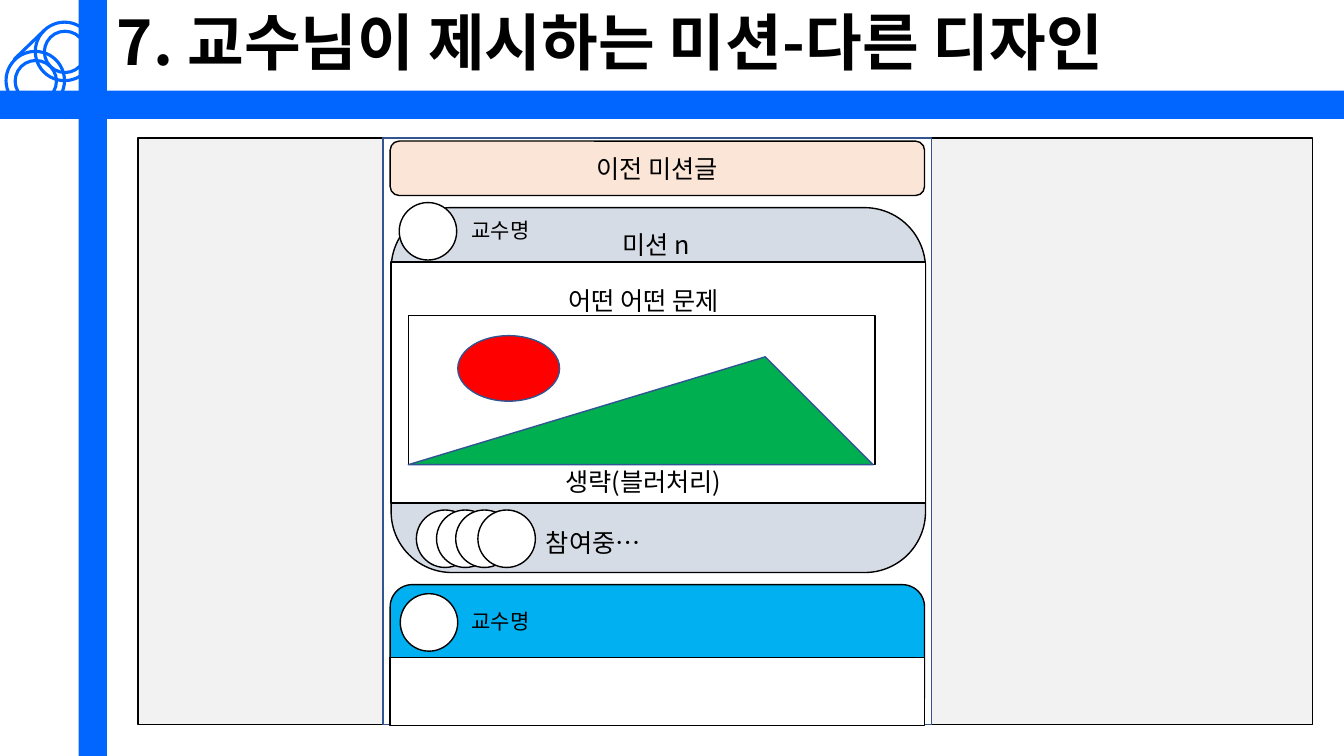
"""Build the slide showing an alternative design for the professor's missions."""
from dataclasses import dataclass
from typing import Optional

from lxml import etree
from pptx import Presentation
from pptx.dml.color import RGBColor
from pptx.enum.shapes import MSO_CONNECTOR, MSO_SHAPE
from pptx.enum.text import MSO_ANCHOR, MSO_AUTO_SIZE, PP_ALIGN
from pptx.oxml.ns import qn
from pptx.util import Inches, Pt

FONT = "Noto Sans CJK KR"
BLACK = RGBColor(0x00, 0x00, 0x00)
WHITE = RGBColor(0xFF, 0xFF, 0xFF)
BLUE = RGBColor(0x00, 0x66, 0xFF)
NAVY = RGBColor(0x32, 0x54, 0x91)
SKY = RGBColor(0x00, 0xB0, 0xF0)
LIGHT_GRAY = RGBColor(0xF2, 0xF2, 0xF2)
BLUE_GRAY = RGBColor(0xD6, 0xDC, 0xE5)
PEACH = RGBColor(0xFB, 0xE5, 0xD6)
GREEN = RGBColor(0x00, 0xB0, 0x50)
RED = RGBColor(0xFF, 0x00, 0x00)

RECT = MSO_SHAPE.RECTANGLE
ROUND = MSO_SHAPE.ROUNDED_RECTANGLE
OVAL = MSO_SHAPE.OVAL
TRIANGLE = MSO_SHAPE.ISOSCELES_TRIANGLE

CARD_LEFT, CARD_WIDTH = 3.87, 5.3
AVATAR = 0.57


@dataclass(frozen=True)
class Box:
    kind: MSO_SHAPE
    left: float
    top: float
    width: float
    height: float
    fill: Optional[RGBColor] = WHITE
    line: Optional[RGBColor] = BLACK
    weight: float = 1
    adjust: Optional[float] = None
    text: str = ""


@dataclass(frozen=True)
class Label:
    lines: tuple[str, ...]
    left: float
    top: float
    width: float
    height: float
    size: float = 18
    align: PP_ALIGN = PP_ALIGN.CENTER
    anchor: MSO_ANCHOR = MSO_ANCHOR.TOP
    leading: Optional[float] = 21.6
    gap: float = 0


def ring(left: float, top: float, size: float) -> Box:
    return Box(OVAL, left, top, size, size, None, BLUE, 2.25)


def avatar(left: float, top: float) -> Box:
    return Box(OVAL, left, top, AVATAR, AVATAR)


def professor(top: float) -> Label:
    return Label(("교수명",), 4.12, top, 1.23, 0.35, 15, PP_ALIGN.RIGHT, MSO_ANCHOR.MIDDLE, None)


FRAME = (
    Box(RECT, 0.78, 0, 0.28, 7.5, BLUE, None),
    Box(RECT, 0, 0.9, 13.33, 0.28, BLUE, None),
    ring(0.06, 0.51, 0.58),
    ring(0.35, 0.22, 0.58),
    ring(0.44, 0.31, 0.41),
    ring(0.15, 0.6, 0.41),
)

SCREEN = (
    Box(RECT, 1.37, 1.37, 11.65, 5.82, LIGHT_GRAY),
    Box(RECT, 3.8, 1.37, 5.44, 5.82, WHITE, NAVY),
    Box(ROUND, CARD_LEFT, 1.4, CARD_WIDTH, 0.54, PEACH, text="이전 미션글"),
    Box(ROUND, 3.88, 2.06, CARD_WIDTH, 3.62, BLUE_GRAY),
    Box(ROUND, CARD_LEFT, 5.8, CARD_WIDTH, 1.32, SKY),
    professor(2.11),
    avatar(3.96, 2.01),
    professor(5.99),
    avatar(3.97, 5.89),
    Box(RECT, 3.88, 2.6, CARD_WIDTH, 2.39),
    Box(RECT, CARD_LEFT, 6.52, CARD_WIDTH, 0.68),
    Label(("미션 n",), 4.95, 2.23, 3.11, 0.4),
    Label(("어떤 어떤 문제", "생략(블러처리)"), 4.12, 2.78, 4.52, 2.22, gap=108),
    Box(RECT, 4.05, 3.13, 4.63, 1.48),
    Box(TRIANGLE, 4.05, 3.54, 4.61, 1.07, GREEN, NAVY, adjust=0.768),
    Box(OVAL, 4.54, 3.33, 1.01, 0.65, RED, NAVY),
    *(avatar(left, 5.06) for left in (4.13, 4.33, 4.52, 4.74)),
    Label(("참여중…",), 4.33, 5.18, 3.11, 0.4),
)


def style_runs(p, size: float, bold: bool = False) -> None:
    for r in p.runs:
        r.font.size = Pt(size)
        r.font.bold = bold
        r.font.color.rgb = BLACK
        r.font.name = FONT
        ea = etree.Element(qn("a:ea"), typeface=FONT)
        r.font._element.find(qn("a:latin")).addnext(ea)


def draw_box(s, box: Box) -> None:
    sp = s.shapes.add_shape(box.kind, Inches(box.left), Inches(box.top),
                            Inches(box.width), Inches(box.height))
    sp.shadow.inherit = False
    if box.fill is None:
        sp.fill.background()
    else:
        sp.fill.solid()
        sp.fill.fore_color.rgb = box.fill
    if box.line is None:
        sp.line.fill.background()
    else:
        sp.line.color.rgb = box.line
        sp.line.width = Pt(box.weight)
    if box.adjust is not None:
        sp.adjustments[0] = box.adjust
    if box.text:
        tf = sp.text_frame
        tf.text = box.text
        tf.vertical_anchor = MSO_ANCHOR.MIDDLE
        p = tf.paragraphs[0]
        p.alignment = PP_ALIGN.CENTER
        style_runs(p, 18)


def draw_label(s, label: Label) -> None:
    sp = s.shapes.add_textbox(Inches(label.left), Inches(label.top),
                              Inches(label.width), Inches(label.height))
    tf = sp.text_frame
    tf.word_wrap = True
    tf.vertical_anchor = label.anchor
    tf.text = "\n".join(label.lines)
    for i, p in enumerate(tf.paragraphs):
        p.alignment = label.align
        if label.leading:
            p.line_spacing = Pt(label.leading)
        if i:
            p.space_before = Pt(label.gap)
        style_runs(p, label.size)


def draw_tangent(s) -> None:
    line = s.shapes.add_connector(MSO_CONNECTOR.STRAIGHT, Inches(0.14), Inches(0.59),
                                  Inches(0.44), Inches(0.3))
    line.line.color.rgb = BLUE
    line.line.width = Pt(2.25)
    etree.SubElement(line._element.spPr, qn("a:effectLst"))


def set_title(s, text: str) -> None:
    sp = s.shapes.title
    sp.left, sp.top, sp.width, sp.height = Inches(1.06), Inches(0), Inches(11.75), Inches(0.9)
    tf = sp.text_frame
    tf.text = text
    tf.word_wrap = True
    tf.auto_size = MSO_AUTO_SIZE.NONE
    tf.vertical_anchor = MSO_ANCHOR.MIDDLE
    p = tf.paragraphs[0]
    p.alignment = PP_ALIGN.LEFT
    p.line_spacing = 0.9
    style_runs(p, 44, bold=True)


def main() -> None:
    prs = Presentation()
    prs.slide_width, prs.slide_height = Inches(13.33), Inches(7.5)
    s = prs.slides.add_slide(prs.slide_layouts[5])
    set_title(s, "7. 교수님이 제시하는 미션-다른 디자인")
    for box in FRAME:
        draw_box(s, box)
    draw_tangent(s)
    for item in SCREEN:
        if isinstance(item, Box):
            draw_box(s, item)
        else:
            draw_label(s, item)
    prs.save("out.pptx")


if __name__ == "__main__":
    main()
